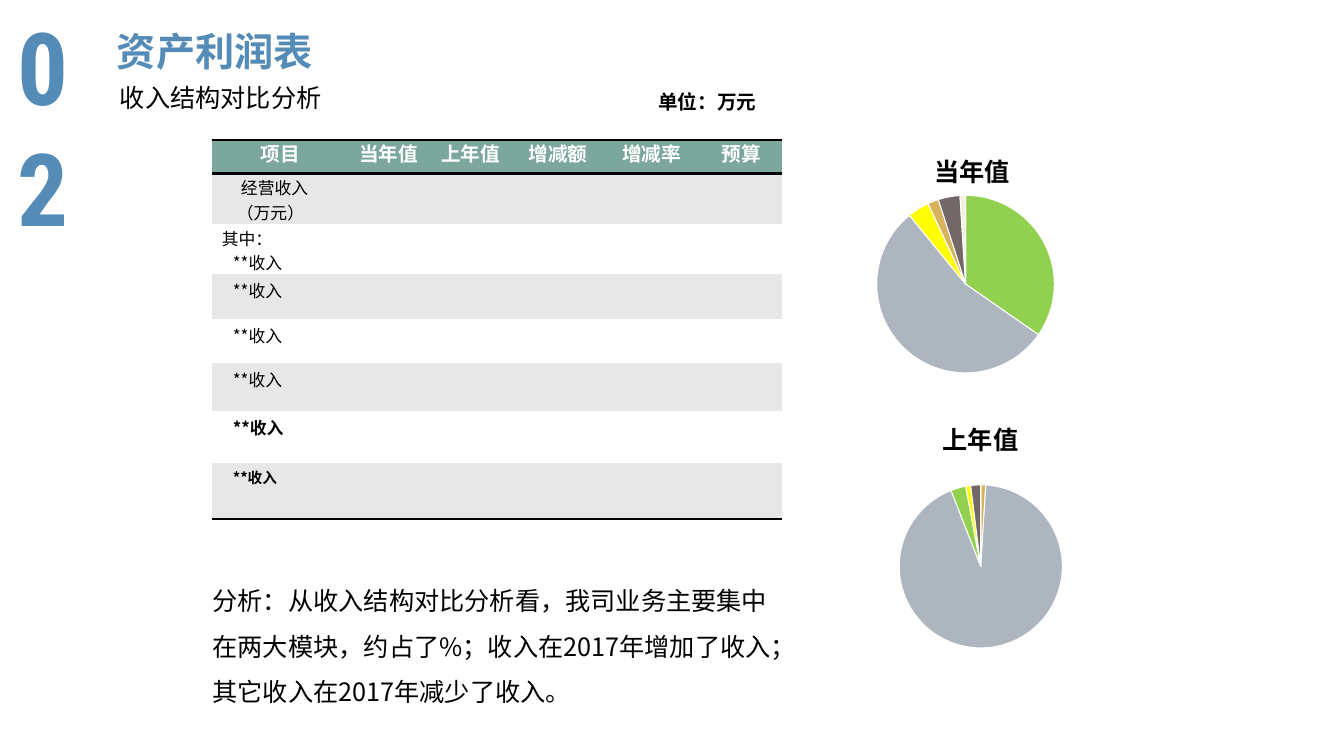
from pptx import Presentation
from pptx.util import Inches, Pt
from pptx.dml.color import RGBColor
from pptx.chart.data import CategoryChartData
from pptx.enum.chart import XL_CHART_TYPE
from pptx.enum.text import PP_ALIGN
from pptx.oxml import parse_xml
from pptx.oxml.ns import nsdecls, qn
from lxml.etree import SubElement

SIZE = (13.33, 7.5)
HUE = dict(blue="548BB7", black="000000", white="FFFFFF", teal="7BA79D",
           band="E7E7E7", green="92D050", steel="ADB5BF", yellow="FFFF00",
           gold="D8B25C", brown="726868", cream="F7F0DE")
SANS, LATIN, DIGIT = "Noto Sans CJK SC", "Arial", "Roboto Condensed"

TEXTS = [
    dict(text="02", at=(0.08, 0, 0.75, 1.31), size=72, face=DIGIT, hue="blue", bold=True),
    dict(text="资产利润表", at=(1.04, 0.21, 5.78, 0.59), size=28, hue="blue", bold=True,
         inset=(0.12, 0.06)),
    dict(text="收入结构对比分析", at=(1.09, 0.77, 5.64, 0.4), size=18, face=LATIN),
    dict(text="单位：万元", at=(6.43, 0.84, 1.34, 0.34), size=14, bold=True),
    dict(text="分析：从收入结构对比分析看，我司业务主要集中在两大模块，约占了%；"
              "收入在2017年增加了收入；其它收入在2017年减少了收入。",
         at=(2.01, 5.61, 5.75, 1.39), size=18, space=1.5),
]

GRID = (2.1, 1.39)
COLS = [1.36, 0.79, 0.84, 0.89, 0.97, 0.81]
ROWS = [0.33, 0.5, 0.5, 0.44, 0.44, 0.48, 0.51, 0.56]
HEADS = ["项目", "当年值", "上年值", "增减额", "增减率", "预算"]
ITEM = ("**收入", 0.11)
LINES = [
    ([("经营收入", 0.19), ("（万元）", 0.15)], 12, False),
    ([("其中：", 0), ITEM], 12, False),
    ([ITEM], 12, False),
    ([ITEM], 12, False),
    ([ITEM], 12, False),
    ([ITEM], 12, True),
    ([ITEM], 10.5, True),
]

PIES = [
    ("当年值", (7.98, 1.39), (0.215, 0.217, 0.529, 0.7), [35, 55, 4, 2, 4, 1],
     ["green", "steel", "yellow", "gold", "brown", "cream"]),
    ("上年值", (8.06, 4.05), (0.258, 0.302, 0.486, 0.642), [1, 94, 0, 3, 1, 2],
     ["gold", "steel", "gold", "green", "yellow", "brown"]),
]
PIE_SIZE = (3.33, 2.52)


def inch(vals):
    return [Inches(v) for v in vals]


def tint(name):
    return RGBColor.from_string(HUE[name])


def style(font, size, face, hue, bold):
    font.size, font.bold, font.name = Pt(size), bold, face
    font.color.rgb = tint(hue)


def ink(para, *look):
    for run in para.runs:
        style(run.font, *look)
        SubElement(run.font._element, qn("a:ea"), typeface=look[1])


def write(slide, text, at, size, face=SANS, hue="black", bold=False,
          inset=(0.1, 0.05), space=None):
    frame = slide.shapes.add_textbox(*inch(at)).text_frame
    frame.word_wrap = True
    frame.margin_left = frame.margin_right = Inches(inset[0])
    frame.margin_top = frame.margin_bottom = Inches(inset[1])
    frame.text = text
    para = frame.paragraphs[0]
    if space:
        para.line_spacing = space
    ink(para, size, face, hue, bold)


def rule(cell, side):
    cell._tc.get_or_add_tcPr().insert(0, parse_xml(
        f'<a:{side} {nsdecls("a")} w="{Pt(2)}"><a:solidFill>'
        f'<a:srgbClr val="{HUE["black"]}"/></a:solidFill></a:{side}>'))


def draw_table(slide):
    table = slide.shapes.add_table(len(ROWS), len(COLS), *inch(GRID),
                                   *inch((sum(COLS), sum(ROWS)))).table
    table.first_row = table.horz_banding = False
    table._tbl.tblPr.find(qn("a:tableStyleId")).text = "{2D5ABB26-0587-4C30-8999-92F81FD0307C}"
    for col, wide in zip(table.columns, COLS):
        col.width = Inches(wide)
    for r, high in enumerate(ROWS):
        table.rows[r].height = Inches(high)
        for c in range(len(COLS)):
            cell = table.cell(r, c)
            cell.fill.solid()
            cell.fill.fore_color.rgb = tint("teal" if r == 0 else "band" if r % 2 else "white")
            cell.margin_top = Inches(0.02 if r in (1, 2) else 0.04)
            cell.margin_bottom = 0
            if r in (0, len(ROWS) - 1):
                rule(cell, "lnB")
            if r == 0:
                rule(cell, "lnT")
                cell.text = HEADS[c]
                para = cell.text_frame.paragraphs[0]
                para.alignment = PP_ALIGN.CENTER
                ink(para, 14, LATIN, "white", True)
    for r, (lines, size, bold) in enumerate(LINES, 1):
        frame = table.cell(r, 0).text_frame
        frame.text = "\n".join(text for text, _ in lines)
        for para, (_, dent) in zip(frame.paragraphs, lines):
            para._p.get_or_add_pPr().set("marL", str(Inches(dent)))
            ink(para, size, SANS, "black", bold)


def draw_pie(slide, name, spot, plot, vals, hues):
    data = CategoryChartData()
    data.categories = [str(n) for n in range(1, len(vals) + 1)]
    data.add_series(name, vals)
    chart = slide.shapes.add_chart(XL_CHART_TYPE.PIE, *inch(spot), *inch(PIE_SIZE), data).chart
    style(chart.font, 18, LATIN, "black", False)
    chart.has_legend = False
    chart.has_title = True
    title = chart.chart_title.text_frame
    title.text = name
    ink(title.paragraphs[0], 18, LATIN, "black", True)
    pie = chart.plots[0]
    pie.vary_by_categories = True
    for n, hue in enumerate(hues):
        form = pie.series[0].points[n].format
        form.fill.solid()
        form.fill.fore_color.rgb = tint(hue)
        form.line.color.rgb = tint("white")
        form.line.width = Pt(0.75)
    area = chart._chartSpace.chart.plotArea
    for old in area.findall(qn("c:layout")):
        area.remove(old)
    marks = [("layoutTarget", "inner"), ("xMode", "edge"), ("yMode", "edge"),
             *zip("xywh", plot)]
    body = "".join(f'<c:{tag} val="{val}"/>' for tag, val in marks)
    area.insert(0, parse_xml(f'<c:layout {nsdecls("c")}><c:manualLayout>{body}'
                             '</c:manualLayout></c:layout>'))


def main():
    deck = Presentation()
    deck.slide_width, deck.slide_height = inch(SIZE)
    slide = deck.slides.add_slide(deck.slide_layouts[6])
    for item in TEXTS:
        write(slide, **item)
    draw_table(slide)
    for pie in PIES:
        draw_pie(slide, *pie)
    deck.save("out.pptx")


if __name__ == "__main__":
    main()
